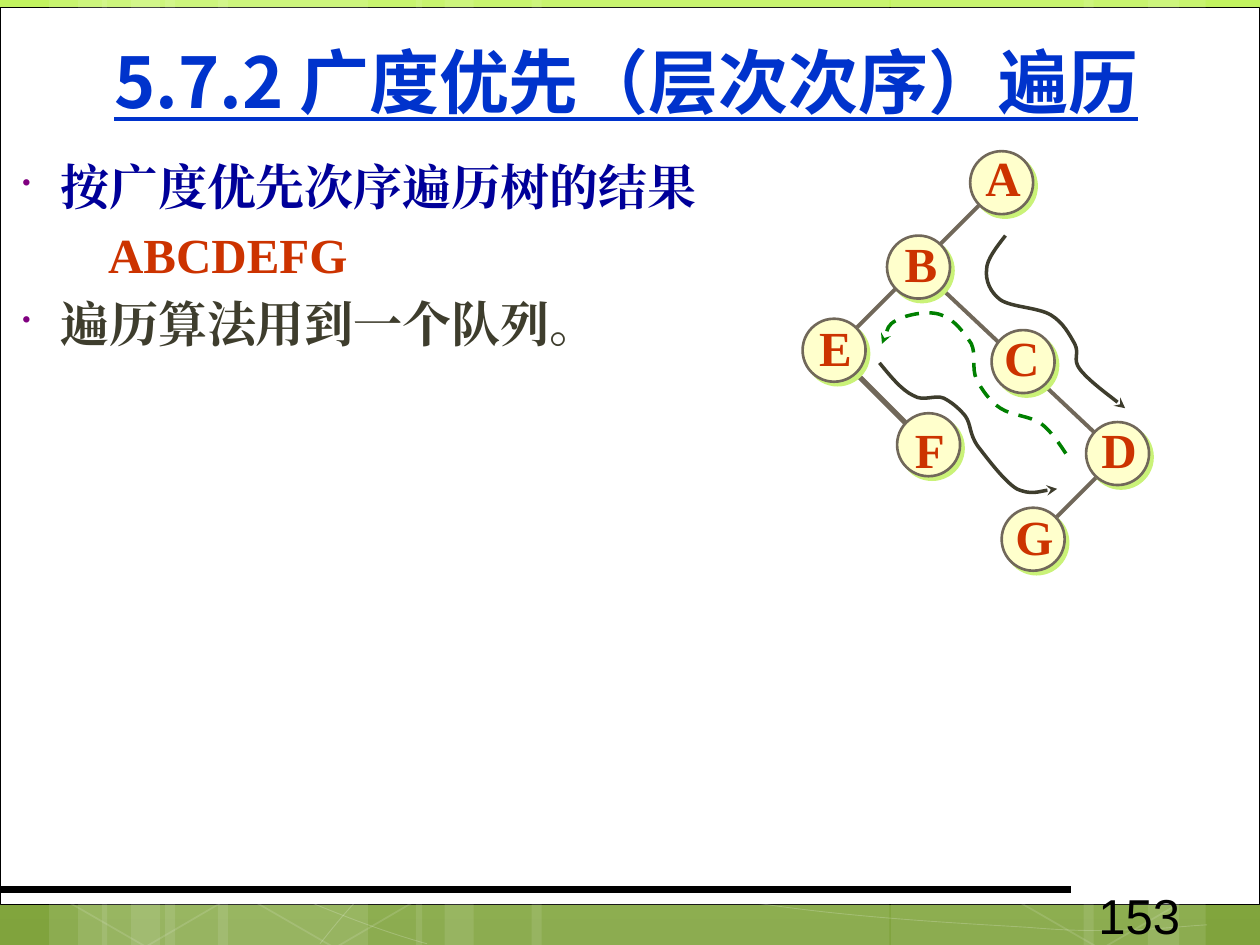
from copy import deepcopy
from dataclasses import dataclass

from lxml.etree import SubElement
from pptx import Presentation
from pptx.dml.color import RGBColor
from pptx.enum.dml import MSO_LINE
from pptx.enum.shapes import MSO_CONNECTOR, MSO_SHAPE
from pptx.enum.text import MSO_ANCHOR, PP_ALIGN
from pptx.oxml.ns import qn
from pptx.util import Cm, Pt

LATIN, CJK, SANS = "Times New Roman", "Noto Sans CJK JP", "Arial"
BRANCH, LETTER, INK, WHITE = "71685A", "CC3300", "3E3D2D", "FFFFFF"
NODE_SIZE, LABEL_HEIGHT = 0.5, 0.57
Point = tuple[float, float]


@dataclass(frozen=True)
class Node:
    letter: str
    left: float
    top: float
    label_left: float
    label_top: float
    label_width: float


@dataclass(frozen=True)
class Edge:
    start: Point
    end: Point
    width: float = 2.25


@dataclass(frozen=True)
class Curve:
    points: list[Point]
    color: str
    width: float = 2
    dashed: bool = False
    arrow: bool = True
    opacity: int = 100


BANDS = [(1.31, 1.61), (0.39, 0.46), (0.62, 0.77), (1.73, 1.62), (0.81, 0.46), (1.04, 0.77),
         (7.07, 1.61), (9.11, 0.46), (8.6, 0.76), (4.22, 2.84), (3.3, 0.46), (3.53, 0.77)]
HEXAGONS = [(0.41, 5.91), (1.91, 5.92), (7.99, 5.93)]
SWEEPS = [
    [(0.36, 6.17), (1.47, 6.72), (2.58, 7.27), (3.39, 7.49)],
    [(0.37, 5.78), (0.66, 5.89), (0.95, 6), (1.49, 6.16), (2.02, 6.31), (2.82, 6.56),
     (3.59, 6.73), (4.36, 6.9), (5.33, 7.08), (6.09, 7.18), (6.85, 7.29), (7.67, 7.33),
     (8.16, 7.36), (8.64, 7.4), (8.77, 7.38), (9.01, 7.38), (9.24, 7.37), (9.41, 7.35),
     (9.58, 7.34)],
    [(2.54, 7.49), (2.7, 7.29), (2.86, 7.09), (3.09, 6.91), (3.31, 6.72), (3.62, 6.53),
     (3.88, 6.39), (4.13, 6.25), (4.29, 6.19), (4.63, 6.09), (4.97, 5.99), (5.59, 5.85),
     (5.91, 5.78), (6.23, 5.71), (6.28, 5.71), (6.57, 5.69), (6.85, 5.66), (7.3, 5.63),
     (7.62, 5.62), (7.94, 5.61), (8.47, 5.62), (9.08, 5.62), (9.25, 5.63), (9.4, 5.64),
     (9.57, 5.66)],
]
EDGES = [Edge((8.79, 3.7), (8.29, 4.2)), Edge((6.7, 2.87), (7.2, 3.37), 3),
         Edge((7.87, 1.53), (6.7, 2.7)), Edge((7.45, 2.27), (8.79, 3.53))]
NODES = [Node("A", 7.7, 1.2, 7.72, 1.12, 0.48), Node("B", 7.04, 1.87, 7.08, 1.8, 0.46),
         Node("C", 7.87, 2.62, 7.87, 2.55, 0.48), Node("E", 6.37, 2.53, 6.4, 2.47, 0.46),
         Node("D", 8.62, 3.35, 8.64, 3.28, 0.48), Node("G", 7.95, 4.03, 7.96, 3.97, 0.5),
         Node("F", 7.12, 3.28, 7.16, 3.28, 0.44)]
VISITS = [
    Curve([(7.98, 1.87), (7.91, 1.96), (7.83, 2.06), (7.83, 2.14), (7.82, 2.23), (7.86, 2.32),
           (7.94, 2.38), (8.03, 2.44), (8.24, 2.44), (8.34, 2.5), (8.44, 2.56), (8.49, 2.66),
           (8.53, 2.73), (8.57, 2.81), (8.51, 2.85), (8.57, 2.93), (8.64, 3.02), (8.87, 3.19),
           (8.93, 3.24)], INK),
    Curve([(8.46, 3.6), (8.4, 3.51), (8.34, 3.42), (8.26, 3.36), (8.17, 3.3), (8.03, 3.3),
           (7.94, 3.24), (7.86, 3.19), (7.79, 3.09), (7.75, 3.01), (7.71, 2.92), (7.75, 2.82),
           (7.71, 2.73), (7.66, 2.65), (7.57, 2.53), (7.47, 2.5), (7.37, 2.46), (7.19, 2.5),
           (7.12, 2.54), (7.04, 2.58), (7.02, 2.7), (7, 2.73)], "008000", dashed=True),
    Curve([(6.98, 2.88), (7.07, 2.99), (7.16, 3.1), (7.25, 3.14), (7.33, 3.19), (7.42, 3.13),
           (7.49, 3.16), (7.55, 3.19), (7.61, 3.24), (7.66, 3.3), (7.71, 3.37), (7.69, 3.44),
           (7.76, 3.54), (7.83, 3.63), (7.97, 3.82), (8.07, 3.88), (8.18, 3.93), (8.34, 3.88),
           (8.39, 3.88)], INK),
]


def inch(value: float) -> Cm:
    return Cm(value * 2.54)


def color(value: str) -> RGBColor:
    return RGBColor.from_string(value)


def set_opacity(element, percent: int) -> None:
    for tint in element.iter(qn("a:srgbClr")):
        SubElement(tint, qn("a:alpha"), val=str(percent * 1000))


def paint_background(slide) -> None:
    fill = slide.background.fill
    fill.gradient()
    fill.gradient_angle = 270
    stop_list = next(slide.element.iter(qn("a:gsLst")))
    stop_list.insert(1, deepcopy(stop_list[0]))
    for stop, (place, tint) in zip(fill.gradient_stops,
                                   [(0, "C2F35F"), (0.62, "92BE3F"), (1, "80A33D")]):
        stop.position, stop.color.rgb = place, color(tint)


def add_figure(shapes, kind, left: float, top: float, width: float, height: float,
               fill: str | None = None, line: str | None = None, weight: float = 1):
    figure = shapes.add_shape(kind, inch(left), inch(top), inch(width), inch(height))
    figure.shadow.inherit = False
    if fill:
        figure.fill.solid()
        figure.fill.fore_color.rgb = color(fill)
    else:
        figure.fill.background()
    if line:
        figure.line.color.rgb, figure.line.width = color(line), Pt(weight)
    else:
        figure.line.fill.background()
    return figure


def add_line(shapes, edge: Edge, tint: str) -> None:
    line = shapes.add_connector(MSO_CONNECTOR.STRAIGHT, *map(inch, edge.start + edge.end))
    line.line.color.rgb, line.line.width = color(tint), Pt(edge.width)
    SubElement(line._element.spPr, qn("a:effectLst"))


def add_curve(shapes, curve: Curve) -> None:
    start, *rest = [(inch(x), inch(y)) for x, y in curve.points]
    builder = shapes.build_freeform(*start)
    builder.add_line_segments(rest, close=False)
    stroke = builder.convert_to_shape()
    stroke.shadow.inherit = False
    stroke.fill.background()
    stroke.line.color.rgb, stroke.line.width = color(curve.color), Pt(curve.width)
    if curve.dashed:
        stroke.line.dash_style = MSO_LINE.DASH
    route = next(stroke._element.iter(qn("a:path")))
    segments = route.findall(qn("a:lnTo"))
    for first in range(0, len(segments), 3):
        bezier = SubElement(route, qn("a:cubicBezTo"))
        for segment in segments[first:first + 3]:
            bezier.append(segment[0])
            route.remove(segment)
    outline = stroke.line._get_or_add_ln()
    if curve.arrow:
        SubElement(outline, qn("a:tailEnd"), type="stealth")
    if curve.opacity < 100:
        set_opacity(outline, curve.opacity)


def add_frame(shapes, left: float, top: float, width: float, height: float, wrap: bool = True):
    frame = shapes.add_textbox(inch(left), inch(top), inch(width), inch(height)).text_frame
    frame.word_wrap = wrap
    return frame


def add_run(paragraph, words: str, size: float, font: str, tint: str, bold: bool = True):
    run = paragraph.add_run()
    run.text = words
    run.font.size, run.font.name, run.font.bold = Pt(size), font, bold
    run.font.color.rgb = color(tint)
    SubElement(run._r.get_or_add_rPr(), qn("a:ea"), typeface=font)
    return run


def add_node(shapes, node: Node) -> None:
    circle = add_figure(shapes, MSO_SHAPE.OVAL, node.left, node.top, NODE_SIZE, NODE_SIZE,
                        "FFFFCC", BRANCH, 1.5)
    effects = circle._element.spPr.find(qn("a:effectLst"))
    shade = SubElement(effects, qn("a:outerShdw"), dist=str(Pt(2.8)), dir="2700000", algn="ctr")
    SubElement(shade, qn("a:srgbClr"), val="CAF278")
    label = add_frame(shapes, node.label_left, node.label_top, node.label_width,
                      LABEL_HEIGHT, wrap=False)
    label.vertical_anchor = MSO_ANCHOR.MIDDLE
    label.paragraphs[0].alignment = PP_ALIGN.CENTER
    add_run(label.paragraphs[0], node.letter, 28, LATIN, LETTER)


def add_point(paragraph, words: str, tint: str, bullet: bool) -> None:
    paragraph.space_before = Pt(5.6)
    layout = paragraph._p.get_or_add_pPr()
    layout.set("marL", str(inch(0.38 if bullet else 0.76)))
    layout.set("indent", str(inch(-0.3 if bullet else 0)))
    if bullet:
        SubElement(SubElement(layout, qn("a:buClr")), qn("a:srgbClr"), val="800080")
        SubElement(layout, qn("a:buSzPct"), val="50000")
        SubElement(layout, qn("a:buChar"), char="•")
    add_run(paragraph, words, 28, LATIN, tint)


def main() -> None:
    """Build the slide on breadth-first traversal of a tree."""
    deck = Presentation()
    deck.slide_width, deck.slide_height = inch(10), inch(7.5)
    slide = deck.slides.add_slide(deck.slide_layouts[6])
    shapes = slide.shapes
    paint_background(slide)
    add_figure(shapes, MSO_SHAPE.RECTANGLE, 0, 0.06, 10, 7.12, WHITE, "000000", 0.5)
    for left, width in BANDS:
        band = add_figure(shapes, MSO_SHAPE.RECTANGLE, left, 0, width, 7.5, WHITE)
        set_opacity(band._element.spPr, 10)
    for sweep in SWEEPS:
        add_curve(shapes, Curve(sweep, WHITE, 0.5, arrow=False, opacity=20))
    for left, top in HEXAGONS:
        hexagon = add_figure(shapes, MSO_SHAPE.HEXAGON, left, top, 1.61, 1.52, line=WHITE)
        hexagon.adjustments[0], hexagon.rotation = 0.285, 30
        set_opacity(hexagon._element.spPr, 12)
    add_line(shapes, Edge((0, 7.06), (8.5, 7.06), 4.5), "000000")

    title = add_frame(shapes, 0.47, 0.02, 9, 1.24, wrap=False)
    title.margin_left = title.margin_right = title.margin_top = title.margin_bottom = 0
    title.vertical_anchor = MSO_ANCHOR.MIDDLE
    title.paragraphs[0].alignment = PP_ALIGN.CENTER
    heading = add_run(title.paragraphs[0], "5.7.2 广度优先（层次次序）遍历", 40, CJK, "0033CC")
    heading.font.underline = True

    body = add_frame(shapes, 0, 1.19, 8.81, 5.24)
    add_point(body.paragraphs[0], "按广度优先次序遍历树的结果", "000099", True)
    add_point(body.add_paragraph(), "ABCDEFG", LETTER, False)
    add_point(body.add_paragraph(), "遍历算法用到一个队列。", INK, True)
    page_number = add_frame(shapes, 8.62, 6.98, 1.46, 0.4)
    add_run(page_number.paragraphs[0], "153", 28, SANS, "000000", bold=False)

    for edge in EDGES:
        add_line(shapes, edge, BRANCH)
    for node in NODES:
        add_node(shapes, node)
    for visit in VISITS:
        add_curve(shapes, visit)
    deck.save("out.pptx")


if __name__ == "__main__":
    main()
